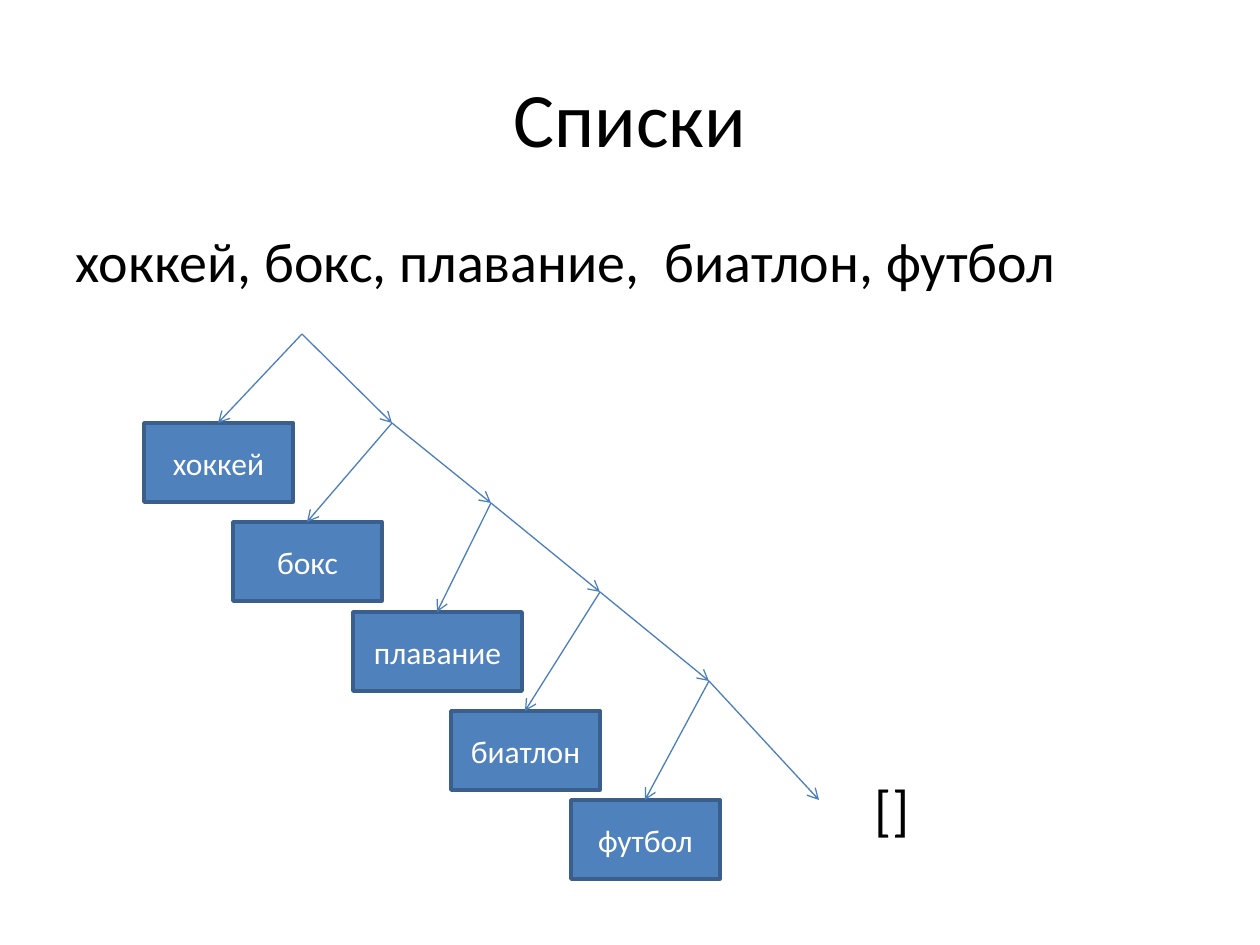
from pptx import Presentation, util as u
from pptx.dml.color import RGBColor
from pptx.enum import shapes, text
from pptx.oxml.ns import qn
from lxml import etree

PX = 914400 / 126
FONT = "Calibri"
COLORS = {"ink": "000000", "fill": "4F81BD", "edge": "3A5F8C",
          "arrow": "4B7EBC", "label": "FFFFFF"}
WORDS = ["хоккей", "бокс", "плавание", "биатлон", "футбол"]


def px(*lengths):
    """Turn pixel lengths into EMU."""
    return [u.Emu(round(n * PX)) for n in lengths]


def color(name):
    """Look up a colour by its role."""
    return RGBColor.from_string(COLORS[name])


def write(sp, words, size, ink, align):
    """Set one paragraph of text on a shape and format its run."""
    tf = sp.text_frame
    tf.text = words
    p = tf.paragraphs[0]
    p.alignment = align
    font = p.runs[0].font
    font.name, font.size = FONT, u.Pt(size)
    font.color.rgb = color(ink)
    return p


def place(sp, box):
    """Move a placeholder to a box."""
    sp.left, sp.top, sp.width, sp.height = px(*box)


def add_heading(s, box):
    """Fill the title placeholder."""
    place(s.shapes.title, box)
    write(s.shapes.title, "Списки", 44, "ink", text.PP_ALIGN.CENTER)


def add_list_line(s, box):
    """Fill the body placeholder with the unbulleted list of words."""
    sp = s.placeholders[1]
    place(sp, box)
    p = write(sp, "хоккей, бокс, плавание,  биатлон, футбол", 32, "ink",
              text.PP_ALIGN.LEFT)
    etree.SubElement(p._p.get_or_add_pPr(), qn("a:buNone"))


def add_box(s, words, box):
    """Draw one list element as a labelled rectangle."""
    sp = s.shapes.add_shape(shapes.MSO_SHAPE.RECTANGLE, *px(*box))
    sp.shadow.inherit = False
    sp.fill.solid()
    sp.fill.fore_color.rgb = color("fill")
    sp.line.color.rgb = color("edge")
    sp.line.width = u.Pt(2)
    sp.text_frame.vertical_anchor = text.MSO_ANCHOR.MIDDLE
    write(sp, words, 18, "label", text.PP_ALIGN.CENTER)


def add_arrow(s, start, end):
    """Draw a thin arrow between two points."""
    sp = s.shapes.add_connector(shapes.MSO_CONNECTOR.STRAIGHT, *px(*start, *end))
    sp.line.color.rgb = color("arrow")
    sp.line.width = u.Pt(0.75)
    etree.SubElement(sp.line._get_or_add_ln(), qn("a:tailEnd"), type="arrow")
    etree.SubElement(sp._element.spPr, qn("a:effectLst"))


def add_empty_list(s, box):
    """Write the empty list that ends the chain."""
    sp = s.shapes.add_textbox(*px(*box))
    tf = sp.text_frame
    tf.word_wrap = True
    tf.margin_left = tf.margin_right = tf.margin_top = tf.margin_bottom = 0
    write(sp, "[]", 32, "ink", text.PP_ALIGN.LEFT)


def add_tree(s, box):
    """Draw the chain of nodes, each with a head box and a tail arrow."""
    x, y, w, h = box
    nodes = [(158, 0), (248, 89), (347, 169), (456, 258), (565, 347), (675, 466)]
    nodes = [(x + dx, y + dy) for dx, dy in nodes]
    corners = [(0, 89), (89, 188), (209, 278), (307, 377), (427, 466)]
    for word, (dx, dy), node, tail in zip(WORDS, corners, nodes, nodes[1:]):
        width = 169 if len(word) > 7 else 149
        left, top = x + dx, y + dy
        add_box(s, word, (left, top, width, 79))
        add_arrow(s, node, (left + width // 2, top))
        add_arrow(s, node, tail)
    add_empty_list(s, (x + w - 50, y + 440, 50, 68))


def main():
    """Build and save the slide."""
    prs = Presentation()
    prs.slide_width, prs.slide_height = px(1260, 945)
    s = prs.slides.add_slide(prs.slide_layouts[1])
    add_heading(s, (63, 38, 1134, 157))
    add_list_line(s, (63, 220, 1134, 624))
    add_tree(s, (144, 334, 781, 545))
    prs.save("out.pptx")


if __name__ == "__main__":
    main()
